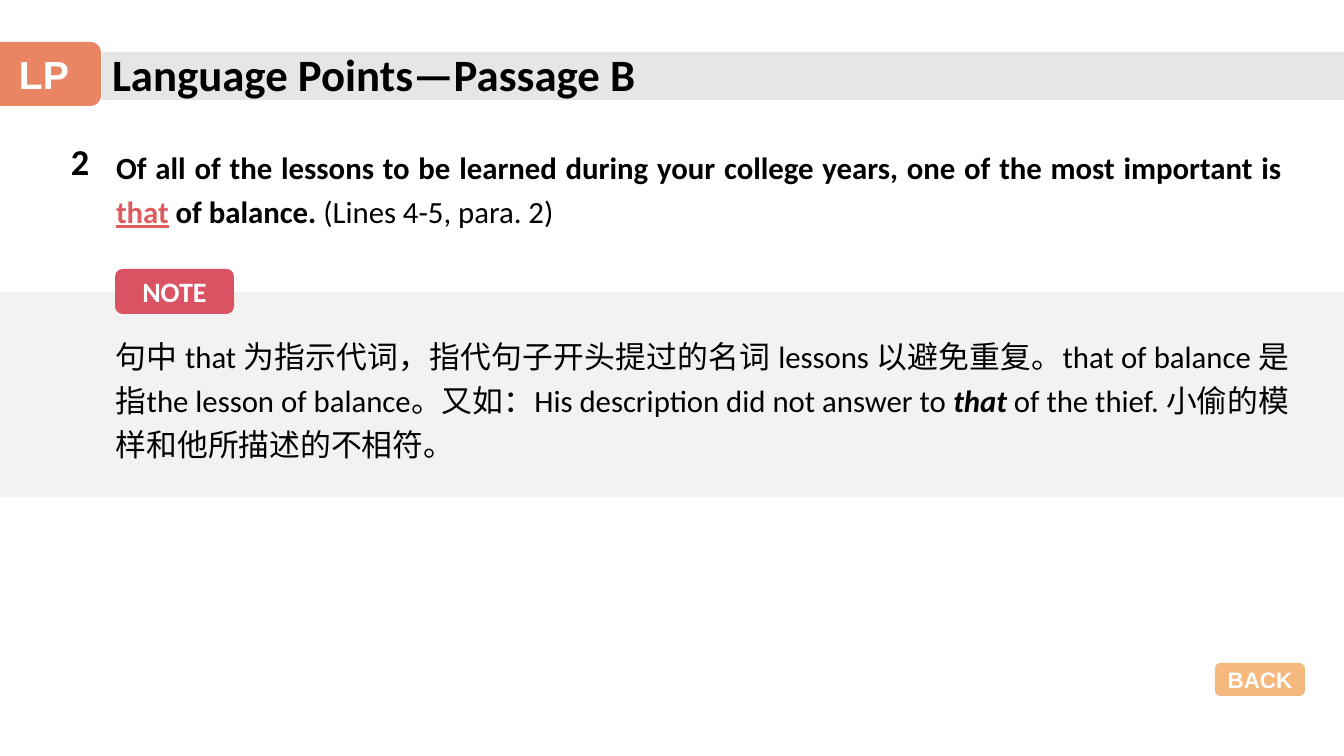
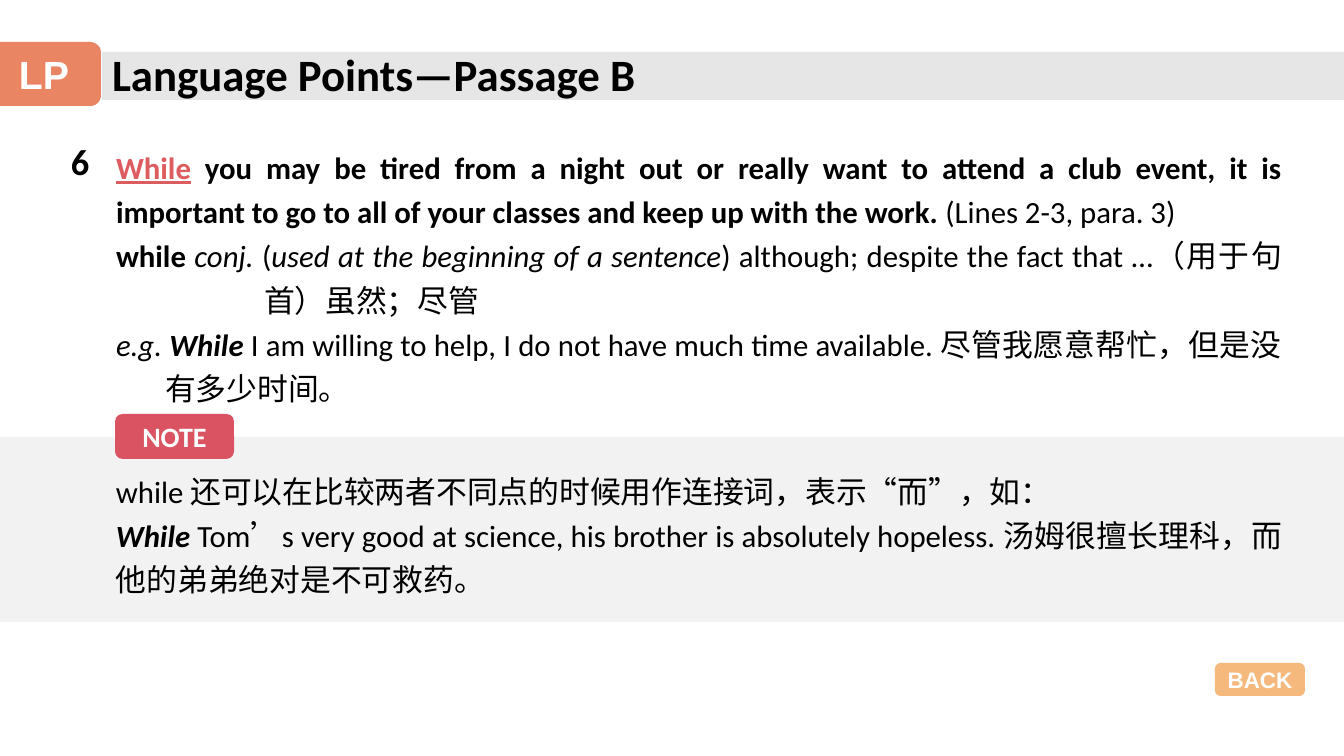
from dataclasses import dataclass
from typing import Optional

from lxml import etree
from pptx import Presentation
from pptx import util as u
from pptx.dml.color import RGBColor
from pptx.enum import shapes, text
from pptx.oxml import ns

EMU_PER_PX = 914400 / 100.8
SLIDE_W, SLIDE_H = 1344, 756
LEFT, CENTER, JUSTIFY = text.PP_ALIGN.LEFT, text.PP_ALIGN.CENTER, text.PP_ALIGN.JUSTIFY


@dataclass(frozen=True)
class Theme:
    ink: str = "000000"
    white: str = "FFFFFF"
    key: str = "DD5C60"
    title_band: str = "E7E6E6"
    note_band: str = "F2F2F2"
    tab: str = "E98562"
    note: str = "DA5362"
    back: str = "F5B87D"
    font: str = "Calibri"
    label_font: str = "Arial"
    title_size: int = 32
    tab_size: int = 28
    number_size: int = 26
    body_size: int = 22
    note_size: int = 20
    back_size: int = 16


THEME = Theme()


@dataclass(frozen=True)
class Box:
    x: int
    y: int
    w: int
    h: int


@dataclass(frozen=True)
class Run:
    text: str
    bold: bool = False
    italic: bool = False
    key: bool = False


@dataclass(frozen=True)
class Para:
    runs: tuple[Run, ...]
    hanging: int = 0


@dataclass(frozen=True)
class Label:
    text: str
    box: Box
    fill: str
    size: int
    font: str


@dataclass(frozen=True)
class Point:
    number: str
    sentence: tuple[Para, ...]
    sentence_h: int
    note: tuple[Para, ...]
    note_box: Box
    band: Box
    tag_y: int


TITLE = "Language Points—Passage B"
TITLE_BOX = Box(102, 41, 576, 65)
TITLE_BAND = Box(102, 52, SLIDE_W - 102, 48)
NUMBER_BOX = Box(61, 134, 64, 54)
TAB = Label("LP", Box(-13, 42, 114, 64), THEME.tab, THEME.tab_size, THEME.label_font)
BACK = Label("BACK", Box(1215, 663, 90, 33), THEME.back, THEME.back_size, THEME.label_font)

POINTS = (
    Point(
        number="2",
        sentence=(
            Para((
                Run("Of all of the lessons to be learned during your college years, "
                    "one of the most important is ", bold=True),
                Run("that", bold=True, key=True),
                Run(" of balance. ", bold=True),
                Run("(Lines 4-5, para. 2)"),
            )),
        ),
        sentence_h=100,
        note=(
            Para((
                Run("句中 that 为指示代词，指代句子开头提过的名词 lessons 以避免重复。"
                    "that of balance 是指the lesson of balance。又如："
                    "His description did not answer to "),
                Run("that", bold=True, italic=True),
                Run(" of the thief. 小偷的模样和他所描述的不相符。"),
            )),
        ),
        note_box=Box(106, 325, 1193, 141),
        band=Box(0, 292, SLIDE_W, 205),
        tag_y=269,
    ),
    Point(
        number="6",
        sentence=(
            Para((
                Run("While", bold=True, key=True),
                Run(" you may be tired from a night out or really want to attend a club "
                    "event, it is important to go to all of your classes and keep up "
                    "with the work. ", bold=True),
                Run("(Lines 2-3, para. 3)"),
            )),
            Para((
                Run("while ", bold=True),
                Run("conj.", italic=True),
                Run(" ("),
                Run("used at the beginning of a sentence", italic=True),
                Run(") although; despite the fact that …（用于句首）虽然；尽管"),
            ), hanging=148),
            Para((
                Run("e.g. ", italic=True),
                Run("While", bold=True, italic=True),
                Run(" I am willing to help, I do not have much time available. "
                    "尽管我愿意帮忙，但是没有多少时间。"),
            ), hanging=49),
        ),
        sentence_h=279,
        note=(
            Para((Run("while 还可以在比较两者不同点的时候用作连接词，表示“而”，如："),)),
            Para((
                Run("While", bold=True, italic=True),
                Run(" Tom’s very good at science, his brother is absolutely hopeless. "
                    "汤姆很擅长理科，而他的弟弟绝对是不可救药。"),
            )),
        ),
        note_box=Box(106, 460, 1186, 141),
        band=Box(0, 437, SLIDE_W, 185),
        tag_y=414,
    ),
)


def px(n: int) -> int:
    return u.Emu(round(n * EMU_PER_PX))


def place(sp, box: Box) -> None:
    sp.left, sp.top, sp.width, sp.height = map(px, (box.x, box.y, box.w, box.h))


def write(tf, paras: tuple[Para, ...], *, size: int, font: str = THEME.font,
          color: str = THEME.ink, align=LEFT, spacing: Optional[float] = None,
          anchor=text.MSO_ANCHOR.TOP, wrap: bool = True) -> None:
    """Fill a text frame with formatted, unbulleted paragraphs."""
    tf.auto_size = text.MSO_AUTO_SIZE.NONE
    tf.word_wrap = wrap
    tf.vertical_anchor = anchor
    for i, para in enumerate(paras):
        p = tf.add_paragraph() if i else tf.paragraphs[0]
        pPr = p._p.get_or_add_pPr()
        pPr.set("marL", str(px(para.hanging)))
        pPr.set("indent", str(-px(para.hanging)))
        etree.SubElement(pPr, ns.qn("a:buNone"))
        p.alignment = align
        p.space_before = u.Pt(0)
        if spacing:
            p.line_spacing = spacing
        for run in para.runs:
            r = p.add_run()
            r.text = run.text
            f = r.font
            f.name, f.size = font, u.Pt(size)
            f.bold, f.italic, f.underline = run.bold, run.italic, run.key
            f.color.rgb = RGBColor.from_string(THEME.key if run.key else color)


def bold_line(content: str) -> tuple[Para, ...]:
    return (Para((Run(content, bold=True),)),)


def add_block(slide, kind, box: Box, fill: str):
    sp = slide.shapes.add_shape(kind, 0, 0, 0, 0)
    place(sp, box)
    sp.shadow.inherit = False
    sp.fill.solid()
    sp.fill.fore_color.rgb = RGBColor.from_string(fill)
    sp.line.fill.background()
    return sp


def add_band(slide, box: Box, fill: str) -> None:
    """Add a rectangle behind everything else on the slide."""
    sp = add_block(slide, shapes.MSO_SHAPE.RECTANGLE, box, fill)
    slide.shapes._spTree.insert(2, sp._element)


def add_label(slide, label: Label) -> None:
    sp = add_block(slide, shapes.MSO_SHAPE.ROUNDED_RECTANGLE, label.box, label.fill)
    write(sp.text_frame, bold_line(label.text), size=label.size, font=label.font,
          color=THEME.white, align=CENTER, anchor=text.MSO_ANCHOR.MIDDLE, wrap=False)


def add_text(slide, box: Box, paras: tuple[Para, ...], **fmt) -> None:
    sp = slide.shapes.add_textbox(0, 0, 0, 0)
    place(sp, box)
    write(sp.text_frame, paras, **fmt)


def add_point(prs, point: Point) -> None:
    slide = prs.slides.add_slide(prs.slide_layouts[1])
    title, body = slide.placeholders
    add_band(slide, TITLE_BAND, THEME.title_band)
    add_band(slide, point.band, THEME.note_band)

    place(title, TITLE_BOX)
    write(title.text_frame, bold_line(TITLE), size=THEME.title_size,
          anchor=text.MSO_ANCHOR.MIDDLE, wrap=False)
    add_text(slide, NUMBER_BOX, bold_line(point.number), size=THEME.number_size)

    prose = dict(size=THEME.body_size, align=JUSTIFY, spacing=1.2)
    place(body, Box(106, 136, 1186, point.sentence_h))
    write(body.text_frame, point.sentence, **prose)
    add_text(slide, point.note_box, point.note, **prose)

    note_tag = Label("NOTE", Box(115, point.tag_y, 119, 45), THEME.note,
                     THEME.note_size, THEME.font)
    for label in (TAB, note_tag, BACK):
        add_label(slide, label)


def main() -> None:
    prs = Presentation()
    prs.slide_width, prs.slide_height = px(SLIDE_W), px(SLIDE_H)
    for point in POINTS:
        add_point(prs, point)
    prs.save("out.pptx")


if __name__ == "__main__":
    main()
